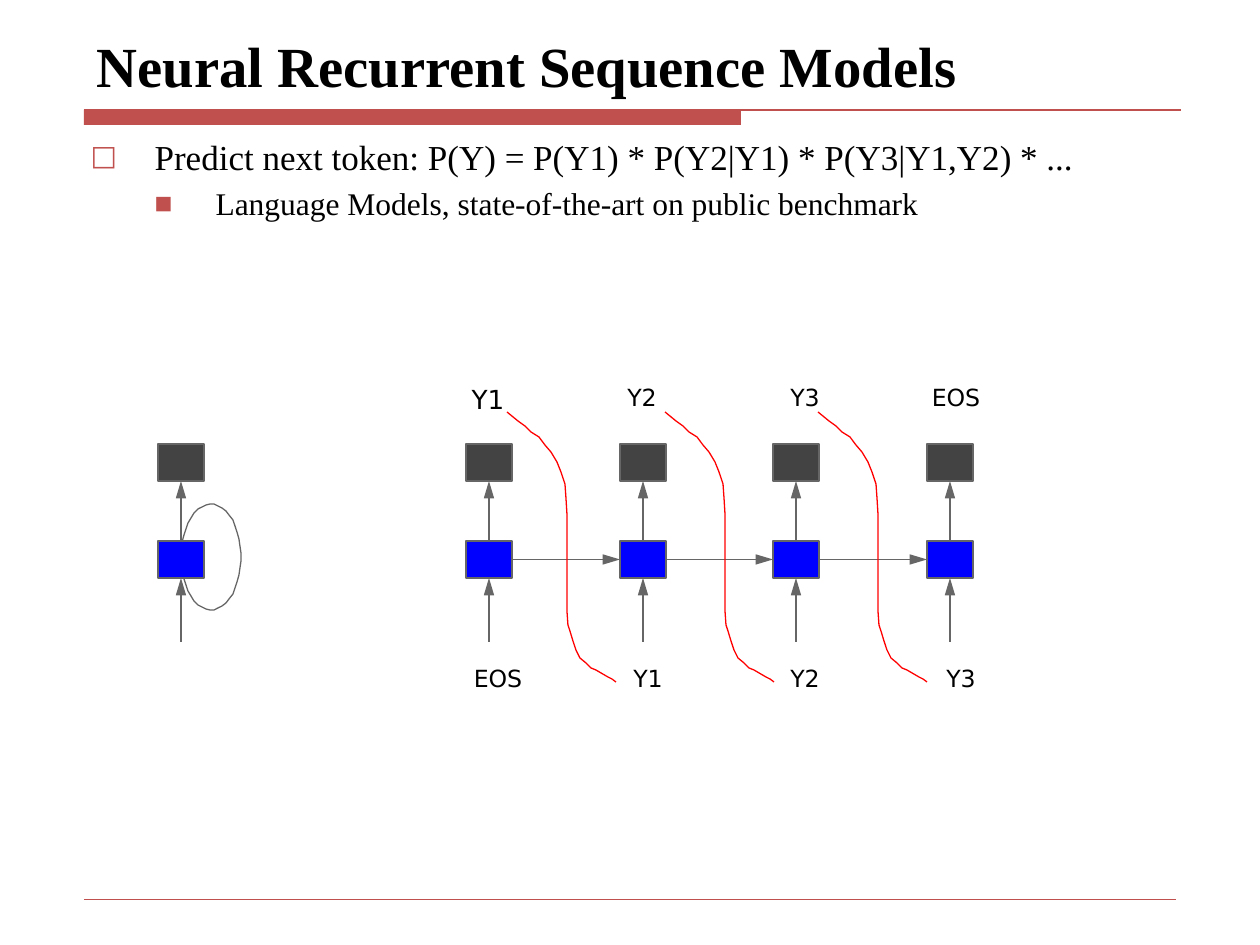
import math

from lxml import etree
from pptx import Presentation
from pptx.dml.color import RGBColor
from pptx.enum import shapes, text
from pptx.oxml.ns import qn
from pptx.util import Pt

PX = 914400 / 126  # EMU per px
C = {"accent": "C0504D", "black": "000000", "hidden": "0000FF",
     "output": "434343", "gray": "666666", "feedback": "FF0000"}
SERIF, SANS = "Times New Roman", "DejaVu Sans"


def emu(*lengths):
    return [round(n * PX) for n in lengths]


def rgb(name):
    return RGBColor.from_string(C[name])


prs = Presentation()
prs.slide_width, prs.slide_height = emu(1260, 945)
s = prs.slides.add_slide(prs.slide_layouts[1])

# Title rule: thick bar, then thin lines at top and foot
bar = s.shapes.add_shape(shapes.MSO_SHAPE.RECTANGLE, *emu(84, 110, 657, 15))
bar.shadow.inherit = False
bar.fill.solid()
bar.fill.fore_color.rgb = rgb("accent")
bar.line.fill.background()
lines = []
for right, y, width in [(1181, 110, 0.75), (1176, 899, 0.25)]:
    rule = s.shapes.add_connector(shapes.MSO_CONNECTOR.STRAIGHT, *emu(84, y, right, y))
    rule.line.color.rgb = rgb("accent")
    rule.line.width = Pt(width)
    lines.append(rule)

# Title
title = s.shapes.title
title.left, title.top, title.width, title.height = emu(84, 26, 1101, 79)
tf = title.text_frame
tf.text = "Neural Recurrent Sequence Models"
tf.auto_size = text.MSO_AUTO_SIZE.NONE
tf.vertical_anchor = text.MSO_ANCHOR.BOTTOM
p = tf.paragraphs[0]
p.alignment = text.PP_ALIGN.LEFT
font = p.runs[0].font
font.name, font.size, font.bold = SERIF, Pt(32.4), True
font.color.rgb = rgb("black")

# Bulleted list
body = s.placeholders[1]
body.left, body.top, body.width, body.height = emu(78, 129, 1103, 761)
tf = body.text_frame
tf.auto_size = text.MSO_AUTO_SIZE.NONE
items = [("Predict next token: P(Y) = P(Y1) * P(Y2|Y1) * P(Y3|Y1,Y2) * ...", 20, 64, 64, "□", 80, 0),
         ("Language Models, state-of-the-art on public benchmark", 18, 125, 61, "■", 60, 4)]
for level, (words, size, margin, hanging, mark, percent, before) in enumerate(items):
    p = tf.add_paragraph() if level else tf.paragraphs[0]
    p.text = words
    p.level = level
    p.space_before = Pt(before)
    pPr = p._p.get_or_add_pPr()
    pPr.set("marL", str(emu(margin)[0]))
    pPr.set("indent", str(emu(-hanging)[0]))
    color = etree.SubElement(pPr, qn("a:buClr"))
    etree.SubElement(color, qn("a:srgbClr")).set("val", C["accent"])
    etree.SubElement(pPr, qn("a:buSzPct")).set("val", str(percent * 1000))
    etree.SubElement(pPr, qn("a:buFont")).set("typeface", SANS)
    etree.SubElement(pPr, qn("a:buChar")).set("char", mark)
    font = p.runs[0].font
    font.name, font.size = SERIF, Pt(size)
    font.color.rgb = rgb("black")

# Network cells: the folded cell first, then the unrolled steps
arrows = []
previous = None
for x in (181, 489, 643, 796, 950):
    cells = []
    for y, kind in [(444, "output"), (541, "hidden")]:
        sp = s.shapes.add_shape(shapes.MSO_SHAPE.RECTANGLE, *emu(x - 23, y, 46, 37))
        sp.shadow.inherit = False
        sp.fill.solid()
        sp.fill.fore_color.rgb = rgb(kind)
        sp.line.color.rgb = rgb("gray")
        sp.line.width = Pt(0.75)
        cells.append(sp)
    output, hidden = cells
    feed = s.shapes.add_connector(shapes.MSO_CONNECTOR.STRAIGHT, *emu(x, 642, x, 578))
    feed.end_connect(hidden, 2)
    emit = s.shapes.add_connector(shapes.MSO_CONNECTOR.STRAIGHT, *emu(x, 541, x, 481))
    emit.begin_connect(hidden, 0)
    emit.end_connect(output, 2)
    arrows += [feed, emit]
    if x > 489:
        step = s.shapes.add_connector(shapes.MSO_CONNECTOR.STRAIGHT, *emu(x - 131, 559, x - 23, 559))
        step.begin_connect(previous, 3)
        step.end_connect(hidden, 1)
        arrows.append(step)
    previous = hidden

for arrow in arrows:
    arrow.line.color.rgb = rgb("gray")
    arrow.line.width = Pt(0.75)
    head = etree.SubElement(arrow.line._get_or_add_ln(), qn("a:tailEnd"))
    head.set("type", "triangle")
    head.set("len", "lg")
for line in lines + arrows:
    etree.SubElement(line._element.spPr, qn("a:effectLst"))

# Token labels: (text, centre x, top, size)
labels = [("EOS", 498, 664, 13.5), ("Y1", 648, 664, 13.5), ("Y2", 805, 664, 13.5), ("Y3", 961, 664, 13.5),
          ("Y1", 488, 383, 15), ("Y2", 642, 383, 13.5), ("Y3", 805, 383, 13.5), ("EOS", 956, 383, 13.5)]
for words, x, y, size in labels:
    tf = s.shapes.add_textbox(*emu(x - 46, y, 92, 37)).text_frame
    tf.word_wrap = True
    tf.margin_left = tf.margin_right = tf.margin_top = tf.margin_bottom = 0
    tf.text = words
    p = tf.paragraphs[0]
    p.alignment = text.PP_ALIGN.CENTER
    font = p.runs[0].font
    font.name, font.size = SANS, Pt(size)
    font.color.rgb = rgb("black")

# Feedback curves from each output to the next input, and the recurrent loop
bend = [(0, 0), (11, 9), (18, 14), (24, 20), (32, 25), (38, 33), (44, 40), (50, 50), (54, 60),
        (58, 72), (59, 86), (60, 102), (60, 137), (60, 199), (61, 213), (63, 219), (66, 229),
        (69, 238), (73, 246), (79, 251), (84, 256), (89, 258), (101, 265), (105, 267), (109, 270)]
curves = [("feedback", [(x + dx, 412 + dy) for dx, dy in bend]) for x in (507, 665, 818)]
angles = [math.radians(a) for a in range(156, -165, -8)]
curves.append(("gray", [(round(211 + 30 * math.cos(a)), round(557 + 53 * math.sin(a))) for a in angles]))
for color, points in curves:
    builder = s.shapes.build_freeform(*points[0], scale=PX)
    builder.add_line_segments(points[1:], close=False)
    sp = builder.convert_to_shape()
    sp.shadow.inherit = False
    sp.fill.background()
    sp.line.color.rgb = rgb(color)
    sp.line.width = Pt(0.75)

prs.save("out.pptx")
